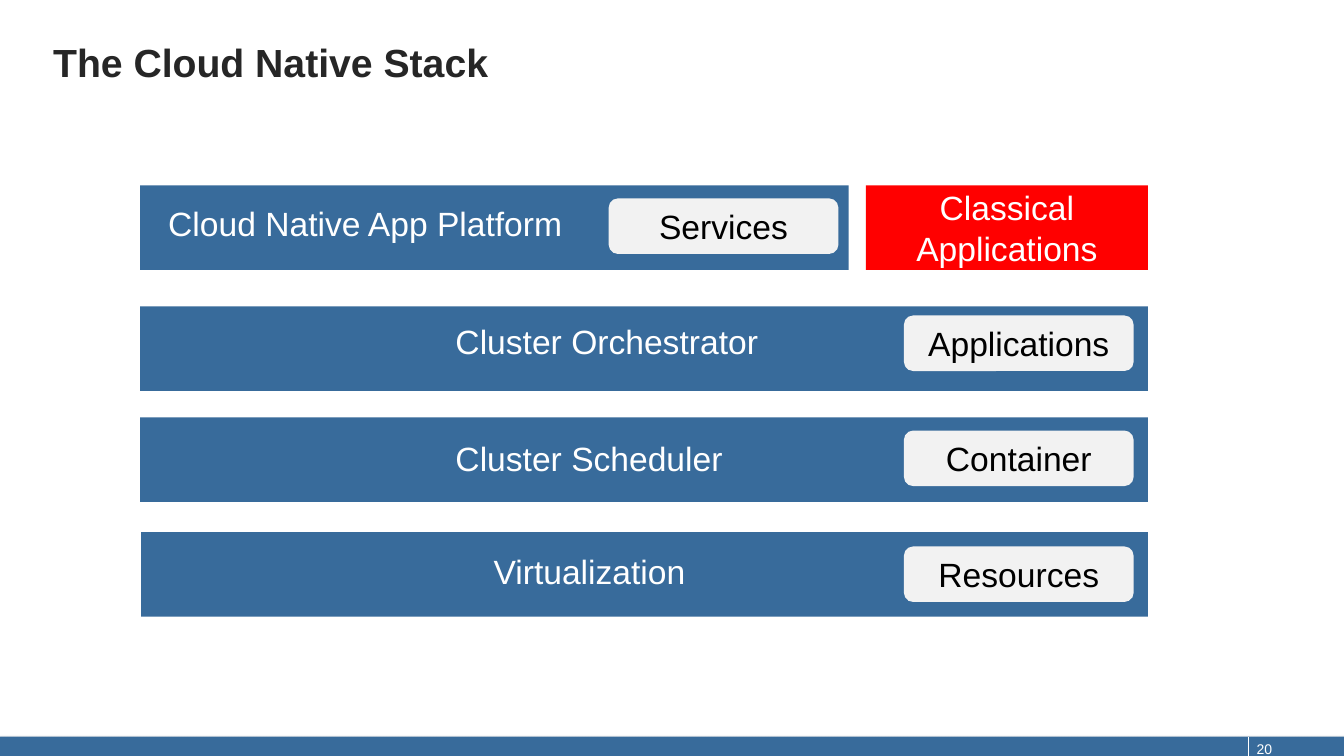
import pptx
import pptx.util
import pptx.dml.color
import pptx.enum.shapes
import pptx.enum.text
import pptx.oxml
import pptx.oxml.ns

Cm = pptx.util.Cm
Pt = pptx.util.Pt
RECT = pptx.enum.shapes.MSO_SHAPE.RECTANGLE
ROUNDED = pptx.enum.shapes.MSO_SHAPE.ROUNDED_RECTANGLE
LEFT = pptx.enum.text.PP_ALIGN.LEFT
CENTER = pptx.enum.text.PP_ALIGN.CENTER
TOP = pptx.enum.text.MSO_ANCHOR.TOP
MIDDLE = pptx.enum.text.MSO_ANCHOR.MIDDLE
BOTTOM = pptx.enum.text.MSO_ANCHOR.BOTTOM
BLUE, RED, WHITE, BLACK = "386B9B", "FF0000", "FFFFFF", "000000"
PALE, DARK = "F2F2F2", "262626"

deck = pptx.Presentation()
deck.slide_width, deck.slide_height = Cm(33.87), Cm(19.05)
slide = deck.slides.add_slide(deck.slide_layouts[6])


def paint(fill, color):
    fill.solid()
    fill.fore_color.rgb = pptx.dml.color.RGBColor.from_string(color)


def add_block(box, text="", color=WHITE, size=24, geometry=None, fill=None,
              align=LEFT, anchor=TOP, wrap=True):
    """Add a filled shape, or a text box if no geometry is given; box is in cm."""
    place = [Cm(length) for length in box]
    if geometry is None:
        block = slide.shapes.add_textbox(*place)
    else:
        block = slide.shapes.add_shape(geometry, *place)
        block.shadow.inherit = False
        block.line.fill.background()
        paint(block.fill, fill)
    frame = block.text_frame
    frame.word_wrap = wrap
    frame.vertical_anchor = anchor
    if text:
        frame.paragraphs[0].alignment = align
        run = frame.paragraphs[0].add_run()
        run.text = text
        run.font.name, run.font.size = "Arial", Pt(size)
        paint(run.font.fill, color)
    return block


# Footer
footer = add_block((0, 18.56, 33.87, 0.49), geometry=RECT, fill=BLUE)
footer_effects = footer._element.spPr.find(pptx.oxml.ns.qn("a:effectLst"))
footer_effects.append(pptx.oxml.parse_xml(
    f'<a:outerShdw {pptx.oxml.ns.nsdecls("a")} blurRad="39370" dist="22860" '
    'dir="5400000" rotWithShape="0"><a:srgbClr val="000000">'
    '<a:alpha val="35000"/></a:srgbClr></a:outerShdw>'))

divider = slide.shapes.add_connector(
    pptx.enum.shapes.MSO_CONNECTOR.STRAIGHT,
    Cm(31.47), Cm(18.56), Cm(31.47), Cm(19.05))
divider.line.width = Pt(1)
paint(divider.line.fill, WHITE)
divider._element.spPr.append(pptx.oxml.parse_xml(
    f'<a:effectLst {pptx.oxml.ns.nsdecls("a")}/>'))

page_number = add_block((31.67, 18.19, 1.98, 1.02), "20", size=10, anchor=BOTTOM)
page_number.text_frame.margin_left = page_number.text_frame.margin_right = 0

# Title
title = add_block((1.09, 0.97, 31.01, 2.77), "The Cloud Native Stack", DARK, 28)
title.text_frame.paragraphs[0].line_spacing = Pt(30)
title.text_frame.paragraphs[0].runs[0].font.bold = True

# Layers: bar left, top, width; label, its left, top, width, wrap; unit, its left, top
layers = [
    (3.53, 4.67, 17.86, "Cloud Native App Platform", 3.99, 4.98, 10.9, True,
     "Services", 15.34, 5),
    (3.53, 7.72, 25.4, "Cluster Orchestrator", 11.23, 7.95, 8.2, False,
     "Applications", 22.78, 7.95),
    (3.53, 10.52, 25.4, "Cluster Scheduler", 11.23, 10.9, 7.32, False,
     "Container", 22.78, 10.85),
    (3.56, 13.41, 25.37, "Virtualization", 12.19, 13.77, 5.41, False,
     "Resources", 22.78, 13.77),
]
for (bar_left, bar_top, bar_width, label, label_left, label_top, label_width,
     wrap, unit, unit_left, unit_top) in layers:
    add_block((bar_left, bar_top, bar_width, 2.13), geometry=RECT, fill=BLUE)
    add_block((label_left, label_top, label_width, 1.27), label, wrap=wrap)
    add_block((unit_left, unit_top, 5.79, 1.4), unit, BLACK, geometry=ROUNDED,
              fill=PALE, align=CENTER, anchor=MIDDLE)

add_block((21.82, 4.67, 7.11, 2.13), "Classical Applications", geometry=RECT,
          fill=RED, align=CENTER, anchor=MIDDLE)

deck.save("out.pptx")
